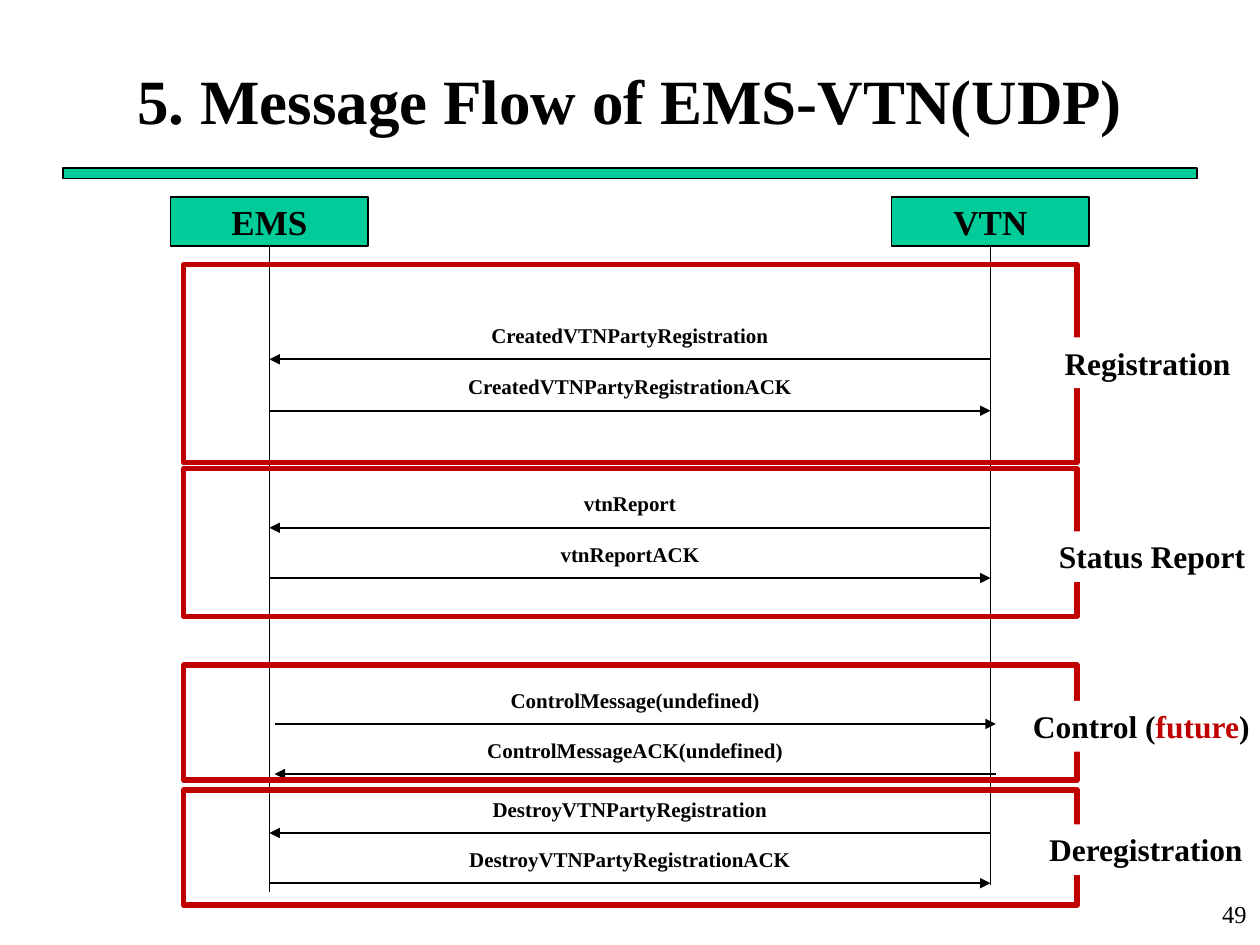
from lxml.etree import SubElement
from pptx import Presentation
from pptx.dml.color import RGBColor
from pptx.enum.shapes import MSO_CONNECTOR as CONN, MSO_SHAPE as SHAPE
from pptx.enum.text import MSO_ANCHOR as ANCHOR, MSO_AUTO_SIZE as AUTO, PP_ALIGN as ALIGN
from pptx.oxml.ns import qn
from pptx.util import Pt

COLORS = {"ink": "000000", "green": "00CC99", "red": "C00000", "white": "FFFFFF"}
FONT = "Times New Roman"
EMS_X, VTN_X = 154, 566
FRAME_X, FRAME_W = 105, 510.5
LABEL_H = 29
CAPTION_W, CAPTION_H, CAPTION_RISE = 200, 21.6, 24.6

# Frame (top, height), label (left, top, width), label runs,
# sideways shift of the arrows, messages (text, y, receiver)
STAGES = [
    ((151, 113.5), (601.2, 192.8, 110), [("Registration", "ink")], 0,
     [("CreatedVTNPartyRegistration", 205.3, "EMS"),
      ("CreatedVTNPartyRegistrationACK", 234.7, "VTN")]),
    ((267.7, 84.5), (598, 303.6, 122.4), [("Status Report", "ink")], 0,
     [("vtnReport", 301.6, "EMS"), ("vtnReportACK", 330.3, "VTN")]),
    ((380, 65.8), (583.2, 400.5, 139.7),
     [("Control (", "ink"), ("future", "red"), (")", "ink")], 3,
     [("ControlMessage(undefined)", 413.7, "VTN"),
      ("ControlMessageACK(undefined)", 442.3, "EMS")]),
    ((451.4, 65.8), (592.4, 471, 126), [("Deregistration", "ink")], 0,
     [("DestroyVTNPartyRegistration", 476, "EMS"),
      ("DestroyVTNPartyRegistrationACK", 504.7, "VTN")]),
]


def rgb(name):
    return RGBColor.from_string(COLORS[name])


class FlowSlide:
    def __init__(self, s, font):
        self.s, self.font = s, font

    def add_runs(self, tf, runs, size, align, bold=True):
        p = tf.paragraphs[0]
        p.alignment = align
        for text, color in runs:
            r = p.add_run()
            r.text = text
            r.font.name, r.font.size, r.font.bold = self.font, Pt(size), bold
            r.font.color.rgb = rgb(color)

    def title(self, text, x, y, w, h):
        sp = self.s.shapes.title
        sp.left, sp.top, sp.width, sp.height = Pt(x), Pt(y), Pt(w), Pt(h)
        tf = sp.text_frame
        tf.auto_size, tf.vertical_anchor = AUTO.NONE, ANCHOR.MIDDLE
        self.add_runs(tf, [(text, "ink")], 36, ALIGN.CENTER)

    def box(self, x, y, w, h, fill=None, line=None, weight=1):
        sp = self.s.shapes.add_shape(SHAPE.RECTANGLE, Pt(x), Pt(y), Pt(w), Pt(h))
        sp.shadow.inherit = False
        if fill:
            sp.fill.solid()
            sp.fill.fore_color.rgb = rgb(fill)
        else:
            sp.fill.background()
        if line:
            sp.line.color.rgb = rgb(line)
            sp.line.width = Pt(weight)
        else:
            sp.line.fill.background()
        return sp

    def text(self, text, x, y, w, h, size, align, bold=True):
        tf = self.s.shapes.add_textbox(Pt(x), Pt(y), Pt(w), Pt(h)).text_frame
        tf.word_wrap = True
        self.add_runs(tf, [(text, "ink")], size, align, bold)

    def line(self, x1, y1, x2, y2, arrow=False):
        c = self.s.shapes.add_connector(CONN.STRAIGHT, Pt(x1), Pt(y1), Pt(x2), Pt(y2))
        c.line.color.rgb = rgb("ink")
        c.line.width = Pt(1)
        sp_pr = c.element.spPr
        if arrow:
            SubElement(sp_pr.find(qn("a:ln")), qn("a:tailEnd"), type="triangle")
        SubElement(sp_pr, qn("a:effectLst"))
        return c

    def party(self, name, x, bottom):
        """Draw a named box centred on x, with its lifeline down to bottom."""
        w, y, h = 113, 112.5, 28.3
        sp = self.box(x - w / 2, y, w, h, "green", "ink")
        sp.text_frame.word_wrap = False
        sp.text_frame.vertical_anchor = ANCHOR.MIDDLE
        self.add_runs(sp.text_frame, [(name, "ink")], 20, ALIGN.CENTER)
        self.line(x, y + h, x, bottom).begin_connect(sp, 2)

    def message(self, text, y, receiver, shift):
        ends = [EMS_X + shift, VTN_X + shift]
        middle = sum(ends) / 2
        start, end = ends if receiver == "VTN" else reversed(ends)
        self.line(start, y, end, y, arrow=True)
        self.text(text, middle - CAPTION_W / 2, y - CAPTION_RISE,
                  CAPTION_W, CAPTION_H, 12, ALIGN.CENTER)

    def stage(self, frame, label, runs, shift, messages):
        for text, y, receiver in messages:
            self.message(text, y, receiver, shift)
        top, height = frame
        self.box(FRAME_X, top, FRAME_W, height, line="red", weight=3)
        sp = self.box(*label, LABEL_H, fill="white")
        tf = sp.text_frame
        tf.word_wrap, tf.vertical_anchor = False, ANCHOR.TOP
        self.add_runs(tf, runs, 18, ALIGN.LEFT)


def main():
    prs = Presentation()
    prs.slide_width, prs.slide_height = Pt(720), Pt(540)
    flow = FlowSlide(prs.slides.add_slide(prs.slide_layouts[5]), FONT)
    flow.box(36, 96, 648, 6, "green", "ink", 0.75)
    flow.title("5. Message Flow of EMS-VTN(UDP)", 36, 24, 648, 66)
    flow.text("49", 569.5, 510, 150, 30, 14, ALIGN.RIGHT, bold=False)
    flow.party("EMS", EMS_X, 509.5)
    flow.party("VTN", VTN_X, 506)
    for stage in STAGES:
        flow.stage(*stage)
    prs.save("out.pptx")


if __name__ == "__main__":
    main()
